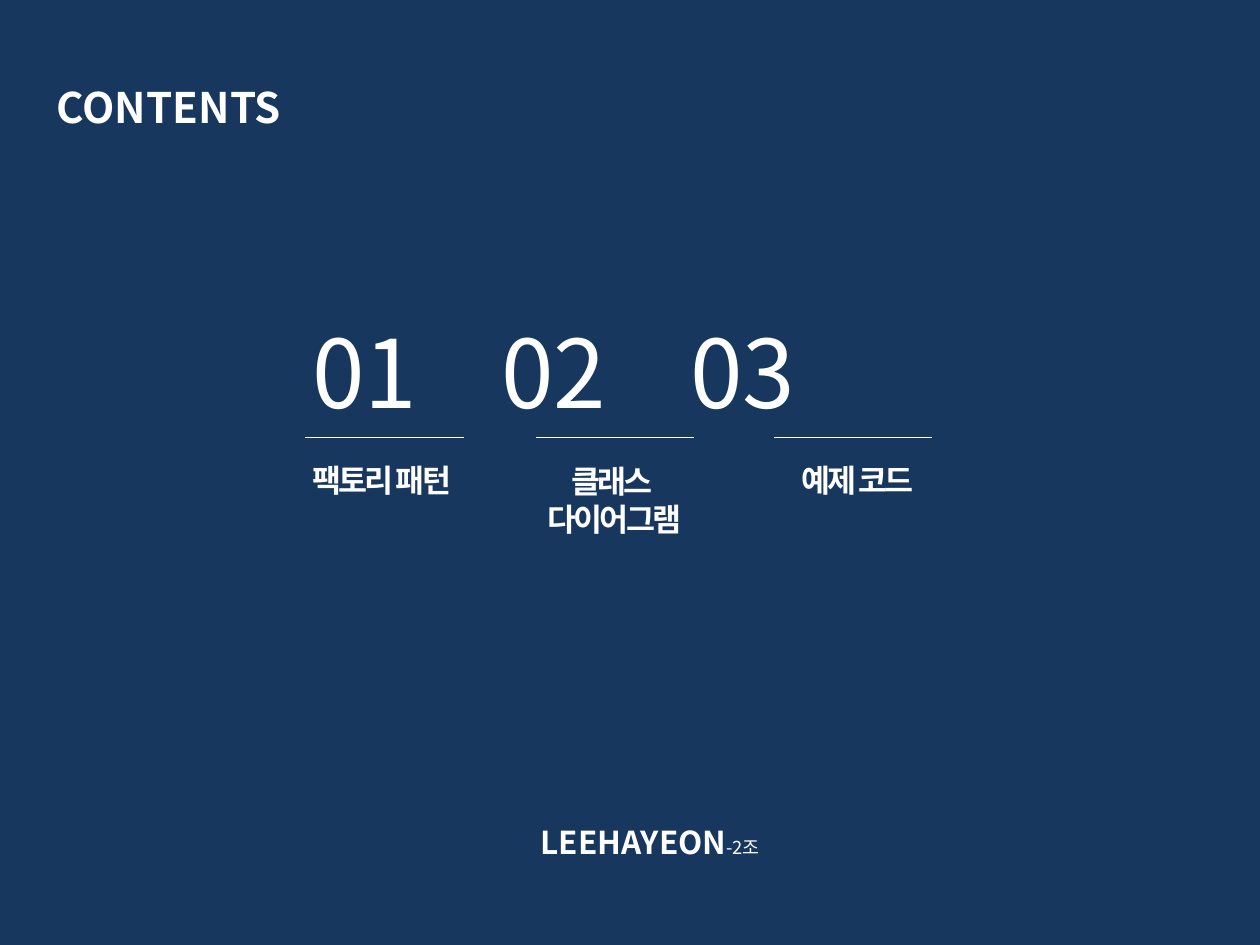
from lxml.etree import SubElement
from pptx import Presentation
from pptx.dml.color import RGBColor
from pptx.enum.shapes import MSO_CONNECTOR
from pptx.enum.text import MSO_ANCHOR, MSO_AUTO_SIZE, PP_ALIGN
from pptx.oxml.ns import qn
from pptx.util import Inches, Pt

NAVY = RGBColor(0x17, 0x37, 0x5E)
WHITE = RGBColor(0xFF, 0xFF, 0xFF)
FONT = "Noto Sans CJK KR"

# Content: runs are (text, size, bold)
TITLE = "CONTENTS"
NUMBERS = ["01", "02", "03"]
NUMBER_STEP = 1.5
# Rule start, label box, label lines
SECTIONS = [
    (2.42, (2.28, 3.61, 1.5, 0.4), ["팩토리 패턴"]),
    (4.25, (3.83, 3.62, 2.09, 0.71), ["클래스 ", "다이어그램"]),
    (6.14, (5.9, 3.61, 1.81, 0.4), ["예제 코드"]),
]
RULE_Y, RULE_W = 3.47, 1.26
FOOTER = [("LEEHAYEON", 18, True), ("-2조", 10.5, False)]


def fill_text(shape, paragraphs, align=PP_ALIGN.LEFT, spacing=None):
    tf = shape.text_frame
    tf.word_wrap = True
    tf.auto_size = MSO_AUTO_SIZE.SHAPE_TO_FIT_TEXT
    tf.vertical_anchor = MSO_ANCHOR.TOP
    for i, runs in enumerate(paragraphs):
        p = tf.add_paragraph() if i else tf.paragraphs[0]
        p.alignment = align
        for text, size, bold in runs:
            r = p.add_run()
            r.text = text
            r.font.size, r.font.bold, r.font.name = Pt(size), bold, FONT
            r.font.color.rgb = WHITE
            rPr = r.font._element
            SubElement(rPr, qn("a:ea")).set("typeface", FONT)
            if spacing is not None:
                rPr.set("spc", str(int(spacing * 100)))
    return tf


def add_text(box, paragraphs, **style):
    return fill_text(s.shapes.add_textbox(*map(Inches, box)), paragraphs, **style)


prs = Presentation()
prs.slide_width, prs.slide_height = Inches(10), Inches(7.5)
s = prs.slides.add_slide(prs.slide_layouts[5])
s.background.fill.solid()
s.background.fill.fore_color.rgb = NAVY

# Title
title = s.shapes.title
title.left, title.top, title.width, title.height = map(Inches, (0.35, 0.6, 4.57, 0.5))
fill_text(title, [[(TITLE, 24, True)]])

# Section numbers on evenly spaced tab stops
tf = add_text((2.38, 2.44, 9.29, 1.01), [[("\t".join(NUMBERS), 54, False)]])
tabs = SubElement(tf.paragraphs[0]._p.get_or_add_pPr(), qn("a:tabLst"))
for i in range(1, len(NUMBERS)):
    SubElement(tabs, qn("a:tab"), pos=str(Inches(i * NUMBER_STEP)), algn="l")

# Rules and section labels
for x, box, lines in SECTIONS:
    rule = s.shapes.add_connector(MSO_CONNECTOR.STRAIGHT, Inches(x), Inches(RULE_Y),
                                  Inches(x + RULE_W), Inches(RULE_Y))
    rule.line.color.rgb = WHITE
    rule.line.width = Pt(0.75)
    SubElement(rule._element.spPr, qn("a:effectLst"))
    add_text(box, [[(line, 18, True)] for line in lines],
             align=PP_ALIGN.CENTER, spacing=-1.5)

# Footer
add_text((3.19, 6.48, 3.94, 0.4), [FOOTER], align=PP_ALIGN.CENTER)

prs.save("out.pptx")
